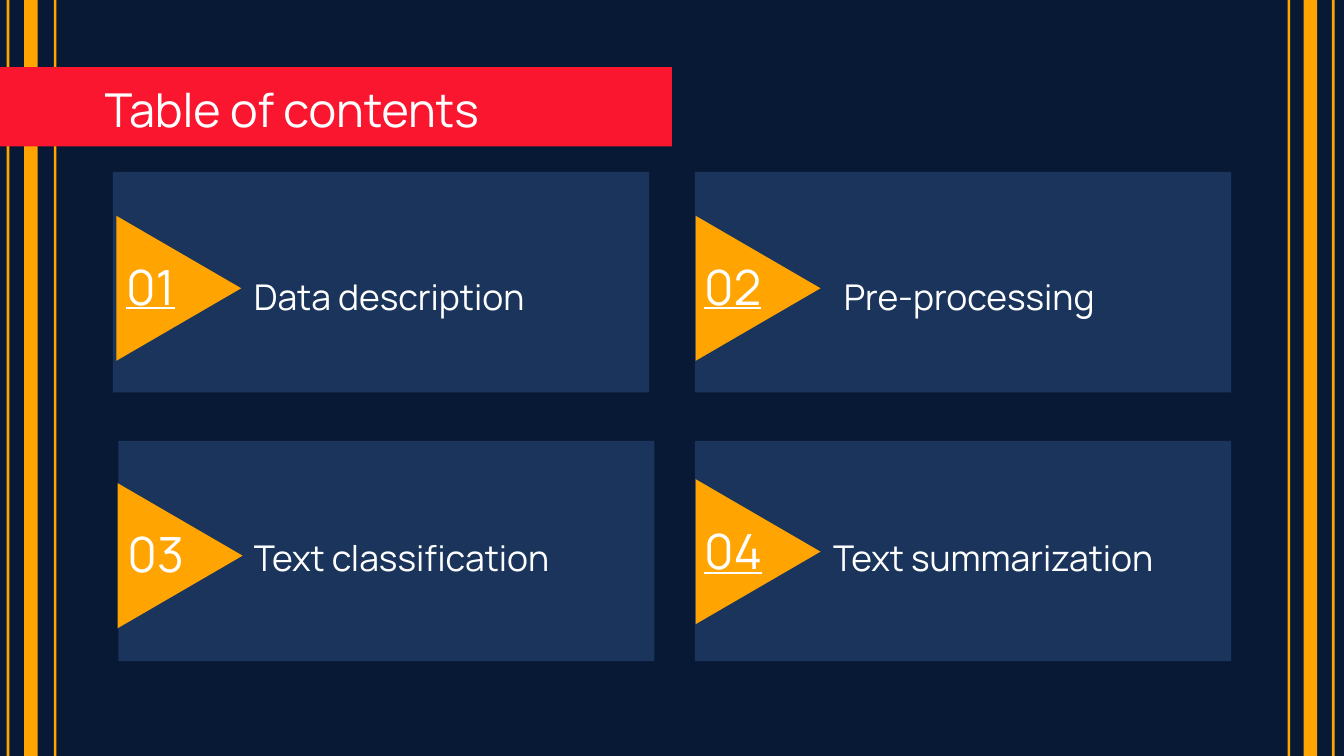
from pptx import Presentation
from pptx.util import Inches, Pt
from pptx.dml.color import RGBColor as RGB
from pptx.enum.shapes import MSO_SHAPE as Kind
from pptx.enum.text import MSO_ANCHOR as Anchor

HUES = {"navy": "081935", "gold": "FFA400", "red": "FA162E",
        "card": "1A345C", "white": "FFFFFF"}
WIDE = 10
HIGH = WIDE * 9 / 16
STRIPES = [(0.18, 0.1), (0.4, 0.02), (0.05, 0.02),
           (9.7, 0.1), (9.91, 0.02), (9.58, 0.02)]
CARD = (3.99, 1.64)
ARROW = (1.08, 0.93)
TOPICS = [
    dict(num="01", name="Data description", card=(0.84, 1.28), arrow=(0.79, 1.68),
         mark=(0.84, 1.81, 0.78, 0.59), label=(1.79, 1.9, 2.82, 0.48), line=True),
    dict(num="02", name="Pre-processing", card=(5.17, 1.28), arrow=(5.1, 1.68),
         mark=(5.14, 1.81, 0.78, 0.59), label=(6.18, 1.9, 2.98, 0.48), line=True),
    dict(num="03", name="Text classification", card=(0.88, 3.28), arrow=(0.8, 3.67),
         mark=(0.85, 3.8, 0.78, 0.59), label=(1.79, 3.84, 2.82, 0.59), line=False),
    dict(num="04", name="Text summarization", card=(5.17, 3.28), arrow=(5.1, 3.64),
         mark=(5.14, 3.78, 0.78, 0.54), label=(6.1, 3.84, 3.06, 0.54), line=True),
]


def add_shape(slide, box, hue, kind=Kind.RECTANGLE, turn=0):
    shape = slide.shapes.add_shape(kind, *map(Inches, box))
    shape.shadow.inherit = False
    shape.fill.solid()
    shape.fill.fore_color.rgb = RGB.from_string(HUES[hue])
    shape.line.fill.background()
    shape.rotation = turn


def add_text(slide, box, text, size, space=1.0, line=False):
    frame = slide.shapes.add_textbox(*map(Inches, box)).text_frame
    pad = Inches(0.1)
    style = {"word_wrap": True, "vertical_anchor": Anchor.TOP,
             "margin_left": pad, "margin_right": pad,
             "margin_top": pad, "margin_bottom": pad}
    for key, val in style.items():
        setattr(frame, key, val)
    para = frame.paragraphs[0]
    para.line_spacing = space
    run = para.add_run()
    run.text = text
    for key, val in {"name": "Manrope", "size": Pt(size), "underline": line}.items():
        setattr(run.font, key, val)
    run.font.color.rgb = RGB.from_string(HUES["white"])


def add_topic(slide, topic):
    add_shape(slide, topic["card"] + CARD, "card")
    add_shape(slide, topic["arrow"] + ARROW, "gold", Kind.ISOSCELES_TRIANGLE, 90)
    add_text(slide, topic["mark"], topic["num"], 26, line=topic["line"])
    add_text(slide, topic["label"], topic["name"], 19, space=1.15)


def main():
    deck = Presentation()
    deck.slide_width, deck.slide_height = Inches(WIDE), Inches(HIGH)
    slide = deck.slides.add_slide(deck.slide_layouts[6])
    slide.background.fill.solid()
    slide.background.fill.fore_color.rgb = RGB.from_string(HUES["navy"])
    for left, width in STRIPES:
        add_shape(slide, (left, 0, width, HIGH), "gold")
    add_shape(slide, (0, 0.5, 5, 0.59), "red")
    add_text(slide, (0.68, 0.5, 4.39, 0.63), "Table of contents", 25)
    for topic in TOPICS:
        add_topic(slide, topic)
    deck.save("out.pptx")


if __name__ == "__main__":
    main()
